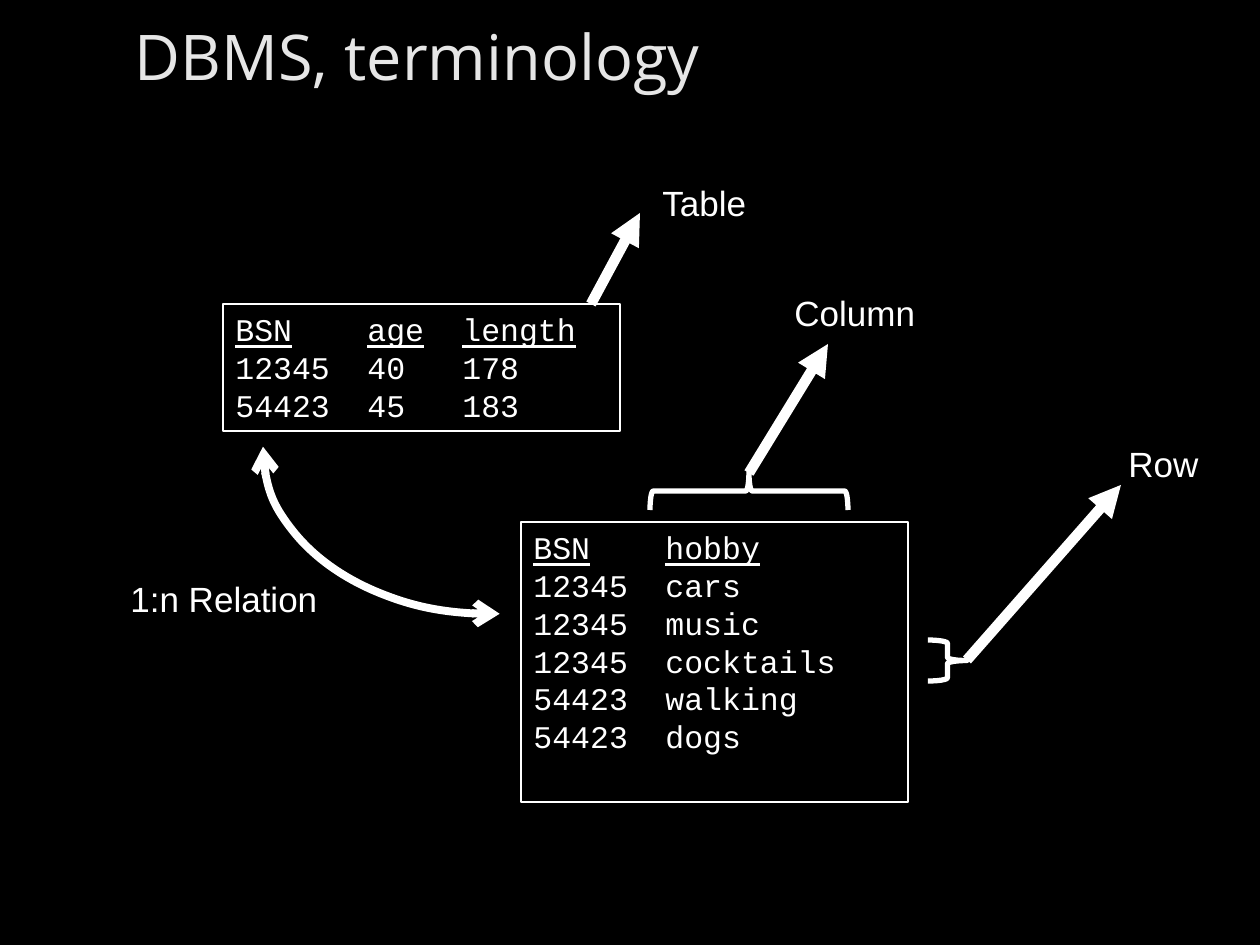
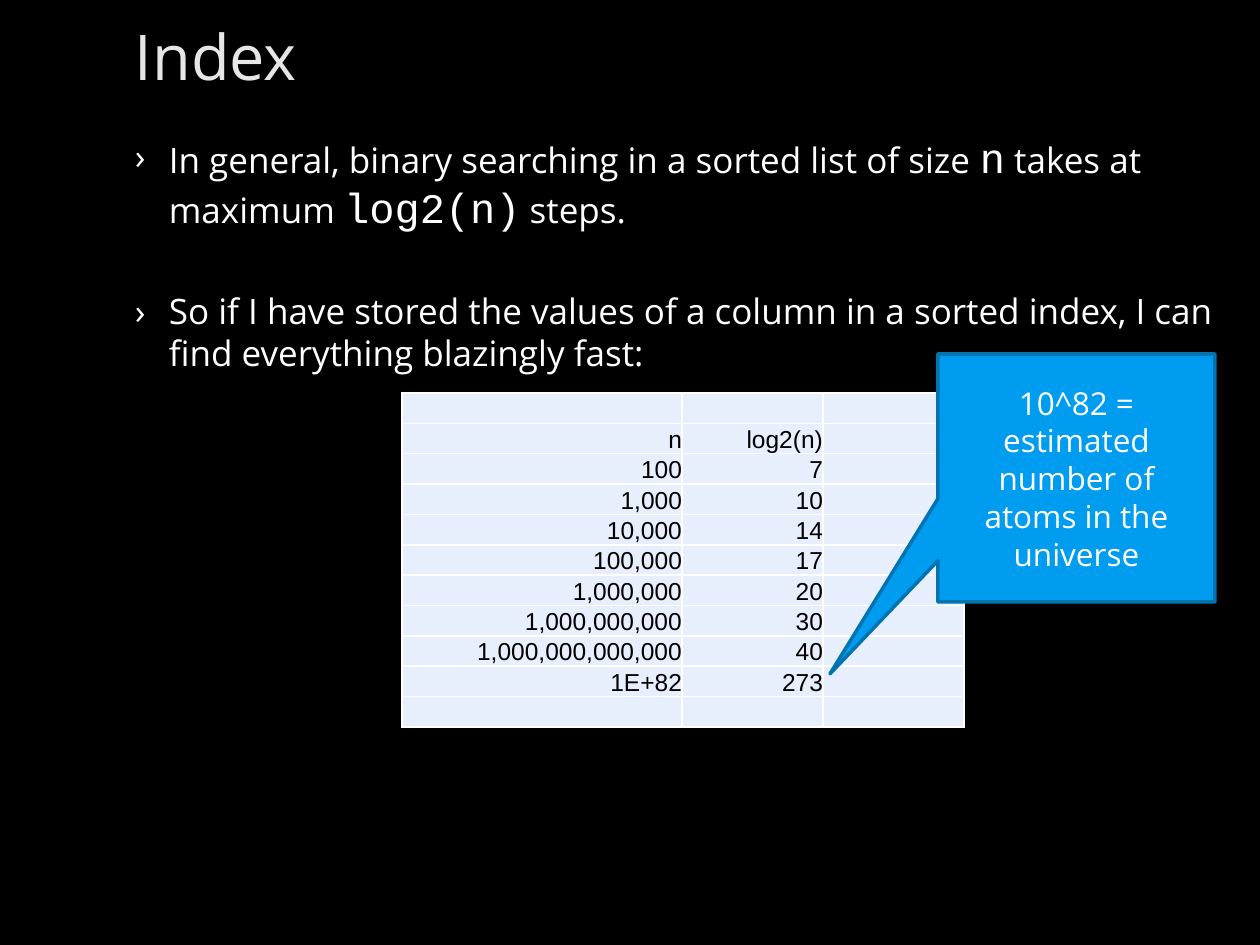
from lxml import etree
from pptx import Presentation
from pptx.dml.color import RGBColor
from pptx.enum.shapes import MSO_CONNECTOR, MSO_SHAPE
from pptx.enum.text import MSO_ANCHOR, PP_ALIGN
from pptx.oxml.ns import qn
from pptx.util import Emu, Pt

RECTANGLE, ARC = MSO_SHAPE.RECTANGLE, MSO_SHAPE.ARC
BRACE, CALLOUT = MSO_SHAPE.RIGHT_BRACE, MSO_SHAPE.RECTANGULAR_CALLOUT
STRAIGHT = MSO_CONNECTOR.STRAIGHT
TOP, MIDDLE, BOTTOM = MSO_ANCHOR.TOP, MSO_ANCHOR.MIDDLE, MSO_ANCHOR.BOTTOM
LEFT, CENTER, RIGHT = PP_ALIGN.LEFT, PP_ALIGN.CENTER, PP_ALIGN.RIGHT

PX_PER_INCH = 126
SLIDE_SIZE = (1260, 945)
TITLE_BOX = (0, 0, 1260, 110)
BODY_BOX = (0, 125, 1260, 777)
SLIDE_MARGINS = (135, 6, 38, 6)

BLACK, WHITE, TITLE_GREY = "000000", "FFFFFF", "E6E6E6"
CELL_BLUE, CALLOUT_BLUE, CALLOUT_EDGE = "E7EFFC", "009CEF", "0073B1"
SANS, MONO, LABEL_FONT = "Open Sans", "Courier New", "Arial"


def px(length):
    return Emu(round(length * 914400 / PX_PER_INCH))


def px_all(lengths):
    return [px(length) for length in lengths]


def color(hex_string):
    return RGBColor.from_string(hex_string)


def style_run(run, size, font, hex_string, underline=None):
    run.font.size = Pt(size)
    run.font.name = font
    run.font.color.rgb = color(hex_string)
    run.font.underline = underline


def add_run(paragraph, text, *style):
    run = paragraph.add_run()
    run.text = text
    style_run(run, *style)


def set_margins(target, margins):
    (target.margin_left, target.margin_top,
     target.margin_right, target.margin_bottom) = px_all(margins)


def style_line(line, hex_string, width):
    line.color.rgb = color(hex_string)
    line.width = Pt(width)


def add_arrowheads(line_object, **ends):
    """Add line ends, given as headEnd or tailEnd with an arrow type."""
    line = line_object.line._get_or_add_ln()
    for tag, kind in ends.items():
        etree.SubElement(line, qn(f"a:{tag}"), type=kind)


def add_outline(slide, kind, box, width):
    shape = slide.shapes.add_shape(kind, *px_all(box))
    shape.shadow.inherit = False
    shape.fill.background()
    style_line(shape.line, WHITE, width)
    return shape


def add_slide(presentation, title):
    slide = presentation.slides.add_slide(presentation.slide_layouts[6])
    slide.background.fill.solid()
    slide.background.fill.fore_color.rgb = color(BLACK)
    text_frame = slide.shapes.add_textbox(*px_all(TITLE_BOX)).text_frame
    text_frame.word_wrap = True
    text_frame.vertical_anchor = MIDDLE
    set_margins(text_frame, SLIDE_MARGINS)
    text_frame.text = title
    style_run(text_frame.paragraphs[0].runs[0], 36, SANS, TITLE_GREY)
    return slide


def add_label(slide, text, box):
    text_frame = slide.shapes.add_textbox(*px_all(box)).text_frame
    text_frame.word_wrap = False
    text_frame.text = text
    style_run(text_frame.paragraphs[0].runs[0], 20, LABEL_FONT, WHITE)


def set_tab_stops(paragraph, stops):
    tab_list = etree.SubElement(paragraph._p.get_or_add_pPr(), qn("a:tabLst"))
    for stop in stops:
        etree.SubElement(tab_list, qn("a:tab"), pos=str(px(stop)), algn="l")


def add_record_box(slide, box, records, tab_stops):
    """Frame the records, whose first row holds underlined column names."""
    shape = add_outline(slide, RECTANGLE, box, 1.5)
    text_frame = shape.text_frame
    text_frame.word_wrap = True
    text_frame.vertical_anchor = TOP
    for row, record in enumerate(records):
        paragraph = text_frame.add_paragraph() if row else text_frame.paragraphs[0]
        paragraph.alignment = LEFT
        set_tab_stops(paragraph, tab_stops)
        for column, value in enumerate(record):
            if column:
                add_run(paragraph, "\t", 18, MONO, WHITE)
            add_run(paragraph, value, 18, MONO, WHITE, row == 0)


def add_pointer(slide, start, end):
    connector = slide.shapes.add_connector(STRAIGHT, *px_all(start + end))
    style_line(connector.line, WHITE, 6)
    add_arrowheads(connector, tailEnd="triangle")
    etree.SubElement(connector._element.spPr, qn("a:effectLst"))


def add_relation_arc(slide, box):
    arc = add_outline(slide, ARC, box, 4.5)
    arc.adjustments[0] = 52.18
    arc.adjustments[1] = 108.41
    add_arrowheads(arc, headEnd="arrow", tailEnd="arrow")


def build_terminology_slide(presentation):
    slide = add_slide(presentation, "DBMS, terminology")
    people = [("BSN", "age", "length"), ("12345", "40", "178"), ("54423", "45", "183")]
    hobbies = [("BSN", "hobby"), ("12345", "cars"), ("12345", "music"),
               ("12345", "cocktails"), ("54423", "walking"), ("54423", "dogs")]
    add_record_box(slide, (223, 304, 397, 127), people, (132, 227))
    add_record_box(slide, (521, 522, 387, 280), hobbies, (132,))

    for text, label_box, start, end in [
        ("Table", (650, 175, 110, 55), (591, 304), (640, 213)),
        ("Column", (782, 285, 147, 55), (749, 473), (828, 344)),
        ("Row", (1116, 436, 96, 55), (967, 660), (1121, 485)),
    ]:
        add_pointer(slide, start, end)
        add_label(slide, text, label_box)

    add_outline(slide, BRACE, (928, 640, 39, 41), 3)
    column_brace = add_outline(slide, BRACE, (730, 392, 38, 198), 3)
    column_brace.rotation = 270
    add_relation_arc(slide, (263, 285, 456, 329))
    add_label(slide, "1:n Relation", (118, 571, 214, 55))


def add_bullet(paragraph, space_before):
    paragraph.space_before = Pt(space_before)
    properties = paragraph._p.get_or_add_pPr()
    properties.set("marL", str(px(34)))
    properties.set("indent", str(px(-34)))
    etree.SubElement(properties, qn("a:buFont"), typeface=SANS)
    etree.SubElement(properties, qn("a:buChar"), char="›")


def add_body(slide, box):
    text_frame = slide.shapes.add_textbox(*px_all(box)).text_frame
    text_frame.word_wrap = True
    set_margins(text_frame, SLIDE_MARGINS)
    search_cost = text_frame.paragraphs[0]
    add_bullet(search_cost, 5)
    for text, size, font in [
        ("In general, binary searching in a sorted list of size ", 20, SANS),
        ("n", 24, MONO),
        (" takes at maximum ", 20, SANS),
        ("log2(n)", 24, MONO),
        (" steps.", 20, SANS),
    ]:
        add_run(search_cost, text, size, font, WHITE)
    conclusion = text_frame.add_paragraph()
    add_bullet(conclusion, 33)
    add_run(conclusion, "So if I have stored the values of a column in a sorted index, "
            "I can find everything blazingly fast:", 20, SANS, WHITE)


def add_cell_borders(cell):
    properties = cell._tc.get_or_add_tcPr()
    for position, side in enumerate(("lnL", "lnR", "lnT", "lnB")):
        line = etree.Element(qn(f"a:{side}"), w=str(Pt(1)))
        fill = etree.SubElement(line, qn("a:solidFill"))
        etree.SubElement(fill, qn("a:srgbClr"), val=WHITE)
        properties.insert(position, line)


def fill_cell(cell, text):
    set_margins(cell, (0, 0, 0, 0))
    cell.vertical_anchor = BOTTOM
    cell.fill.solid()
    cell.fill.fore_color.rgb = color(CELL_BLUE)
    add_cell_borders(cell)
    paragraph = cell.text_frame.paragraphs[0]
    paragraph.alignment = RIGHT
    if text:
        add_run(paragraph, text, 14, LABEL_FONT, BLACK)
    else:
        etree.SubElement(paragraph._p, qn("a:endParaRPr"), sz="1400")


def add_step_table(slide, box, column_widths, rows):
    table = slide.shapes.add_table(len(rows), len(column_widths), *px_all(box)).table
    table.first_row = table.horz_banding = False
    for column, width in zip(table.columns, column_widths):
        column.width = px(width)
    for row, values in zip(table.rows, rows):
        row.height = px(box[3] / len(rows))
        for cell, value in zip(row.cells, values):
            fill_cell(cell, value)


def add_callout(slide, box, text):
    callout = slide.shapes.add_shape(CALLOUT, *px_all(box))
    callout.shadow.inherit = False
    callout.adjustments[0] = -0.89
    callout.adjustments[1] = 0.79
    callout.fill.solid()
    callout.fill.fore_color.rgb = color(CALLOUT_BLUE)
    style_line(callout.line, CALLOUT_EDGE, 2)
    text_frame = callout.text_frame
    text_frame.word_wrap = True
    text_frame.vertical_anchor = MIDDLE
    text_frame.text = text
    text_frame.paragraphs[0].alignment = CENTER
    style_run(text_frame.paragraphs[0].runs[0], 18, SANS, WHITE)


def build_index_slide(presentation):
    slide = add_slide(presentation, "Index")
    add_body(slide, BODY_BOX)
    steps = [("n", "log2(n)"), ("100", "7"), ("1,000", "10"), ("10,000", "14"),
             ("100,000", "17"), ("1,000,000", "20"), ("1,000,000,000", "30"),
             ("1,000,000,000,000", "40"), ("1E+82", "273")]
    blank_row = ("", "", "")
    rows = [blank_row, *((*step, "") for step in steps), blank_row]
    add_step_table(slide, (402, 393, 562, 334), (280, 141, 141), rows)
    add_callout(slide, (938, 354, 277, 248),
                "10^82 = estimated number of atoms in the universe")


def main():
    presentation = Presentation()
    presentation.slide_width, presentation.slide_height = px_all(SLIDE_SIZE)
    build_terminology_slide(presentation)
    build_index_slide(presentation)
    presentation.save("out.pptx")


if __name__ == "__main__":
    main()
